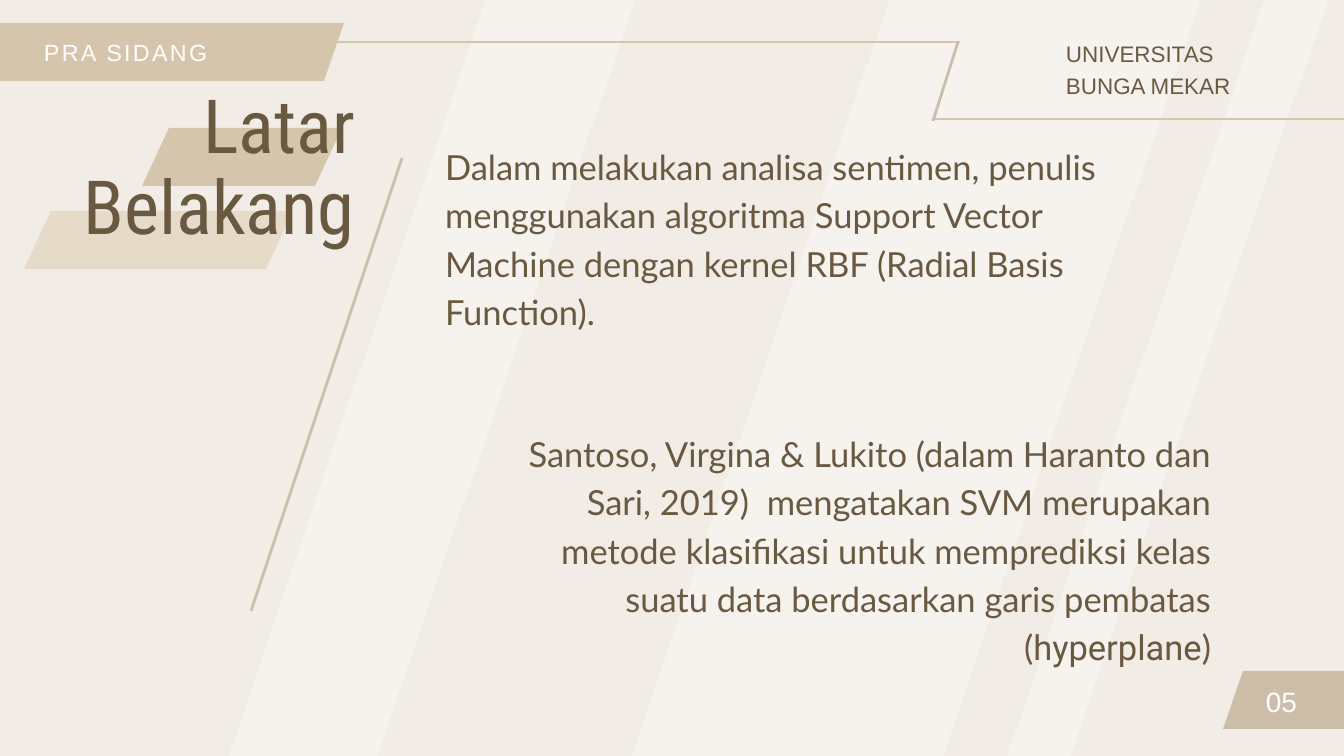
from lxml import etree
from pptx import Presentation
from pptx.dml.color import RGBColor
from pptx.enum.shapes import MSO_CONNECTOR, MSO_SHAPE
from pptx.enum.text import MSO_ANCHOR, MSO_AUTO_SIZE, PP_ALIGN
from pptx.oxml.ns import qn
from pptx.util import Emu, Pt

RECTANGLE = MSO_SHAPE.RECTANGLE
PARALLELOGRAM = MSO_SHAPE.PARALLELOGRAM
STRAIGHT = MSO_CONNECTOR.STRAIGHT
TOP = MSO_ANCHOR.TOP
NO_AUTOFIT = MSO_AUTO_SIZE.NONE
LEFT, RIGHT, JUSTIFY = PP_ALIGN.LEFT, PP_ALIGN.RIGHT, PP_ALIGN.JUSTIFY

SCALE = 914400 / 67.2
WIDTH, HEIGHT = 1344, 756
TWO_CONTENT_LAYOUT = 3

COLORS = {
    "background": "F1ECE5",
    "stripe": "F6F2EE",
    "tan": "D5C5AC",
    "light_tan": "E6DBC9",
    "dark_tan": "CDBEAA",
    "brown": "695941",
    "white": "FFFFFF",
}


def px(length):
    return Emu(round(length * SCALE))


def color(name):
    return RGBColor.from_string(COLORS[name])


def place(shape, left, top, width, height):
    shape.left, shape.top = px(left), px(top)
    shape.width, shape.height = px(width), px(height)


def add_block(slide, kind, box, fill):
    shape = slide.shapes.add_shape(kind, *map(px, box))
    shape.shadow.inherit = False
    shape.fill.solid()
    shape.fill.fore_color.rgb = color(fill)
    shape.line.fill.background()
    return shape


def add_band(slide, box, slant, fill):
    band = add_block(slide, PARALLELOGRAM, box, fill)
    band.adjustments[0] = slant / box[3]


def add_rule(slide, start, end, line_color):
    rule = slide.shapes.add_connector(STRAIGHT, *map(px, start + end))
    rule.line.color.rgb = color(line_color)
    rule.line.width = Pt(3)
    etree.SubElement(rule._element.spPr, qn("a:effectLst"))


def format_text(shape, size, spacing, font, text_color, align=LEFT):
    frame = shape.text_frame
    frame.word_wrap = True
    frame.auto_size = NO_AUTOFIT
    frame.vertical_anchor = TOP
    frame.margin_left = frame.margin_right = 0
    frame.margin_top = frame.margin_bottom = 0
    for paragraph in frame.paragraphs:
        paragraph.alignment = align
        paragraph.line_spacing = Pt(spacing)
        paragraph.space_before = Pt(0)
        for run in paragraph.runs:
            run.font.name = font
            run.font.size = Pt(size)
            run.font.color.rgb = color(text_color)


def add_label(slide, box, text, size, spacing, text_color, align=LEFT):
    label = slide.shapes.add_textbox(*map(px, box))
    label.text_frame.text = text
    format_text(label, size, spacing, "Arial", text_color, align)
    return label


def bring_to_front(slide, shape):
    slide.shapes._spTree.append(shape._element)


def draw_background(slide):
    slide.background.fill.solid()
    slide.background.fill.fore_color.rgb = color("background")
    for box in ((364, -86, 141, 912), (769, -101, 295, 957), (1140, -100, 60, 942)):
        add_block(slide, RECTANGLE, box, "stripe").rotation = 18.8


def draw_header(slide, left, top):
    add_band(slide, (left - 42, top, 386, 58), 20, "tan")
    section = add_label(slide, (left + 44, top + 11, 352, 32),
                        "PRA SIDANG", 25, 35, "white")
    section.text_frame.paragraphs[0].runs[0].font._element.set("spc", "250")
    add_rule(slide, (left + 327, top + 19), (left + 960, top + 19), "tan")
    add_rule(slide, (left + 935, top + 96), (left + 1370, top + 96), "tan")
    add_rule(slide, (left + 933, top + 98), (left + 958, top + 19), "dark_tan")
    add_label(slide, (left + 1066, top + 13, 252, 60),
              "UNIVERSITAS\nBUNGA MEKAR", 24, 33.6, "brown", JUSTIFY)


def draw_title(slide, left, top, width, height):
    add_band(slide, (left + 24, top + 123, 269, 58), 27, "light_tan")
    add_band(slide, (left + 142, top + 40, 200, 58), 27, "tan")
    add_rule(slide, (left + 251, top + 523), (left + 402, top + 70), "dark_tan")
    title = slide.shapes.title
    place(title, left, top, width, height)
    title.text_frame.text = "Latar\nBelakang"
    format_text(title, 80, 86.4, "Roboto Condensed", "brown", RIGHT)
    bring_to_front(slide, title)


def draw_body(slide, body, box, parts, align):
    place(body, *box)
    paragraph = body.text_frame.paragraphs[0]
    for text, _ in parts:
        paragraph.add_run().text = text
    format_text(body, 37, 51.8, "Lato", "brown", align)
    for run, (_, font) in zip(paragraph.runs, parts):
        run.font.name = font
    properties = paragraph._p.get_or_add_pPr()
    properties.set("marL", "0")
    properties.set("indent", "0")
    etree.SubElement(properties, qn("a:buNone"))
    bring_to_front(slide, body)


def draw_page_number(slide, left, top):
    add_band(slide, (left, top, 173, 58), 20, "dark_tan")
    add_label(slide, (left - 25, top + 8, 99, 38), "05", 30, 42, "white", RIGHT)


def main():
    presentation = Presentation()
    presentation.slide_width, presentation.slide_height = px(WIDTH), px(HEIGHT)
    layout = presentation.slide_layouts[TWO_CONTENT_LAYOUT]
    slide = presentation.slides.add_slide(layout)
    _, method_body, source_body = slide.placeholders

    draw_background(slide)
    draw_header(slide, 0, 23)
    draw_title(slide, 0, 88, 355, 165)
    draw_body(slide, method_body, (445, 139, 696, 192), [
        ("Dalam melakukan analisa sentimen, penulis menggunakan algoritma "
         "Support Vector Machine dengan kernel RBF (Radial Basis Function).", "Lato"),
    ], LEFT)
    draw_body(slide, source_body, (515, 426, 696, 240), [
        ("Santoso, Virgina & Lukito (dalam Haranto dan Sari, 2019)  mengatakan SVM "
         "merupakan metode klasifikasi untuk memprediksi kelas suatu data "
         "berdasarkan garis pembatas (", "Lato"),
        ("hyperplane", "Roboto"),
        (")", "Lato"),
    ], RIGHT)
    draw_page_number(slide, 1223, 671)
    presentation.save("out.pptx")


if __name__ == "__main__":
    main()
